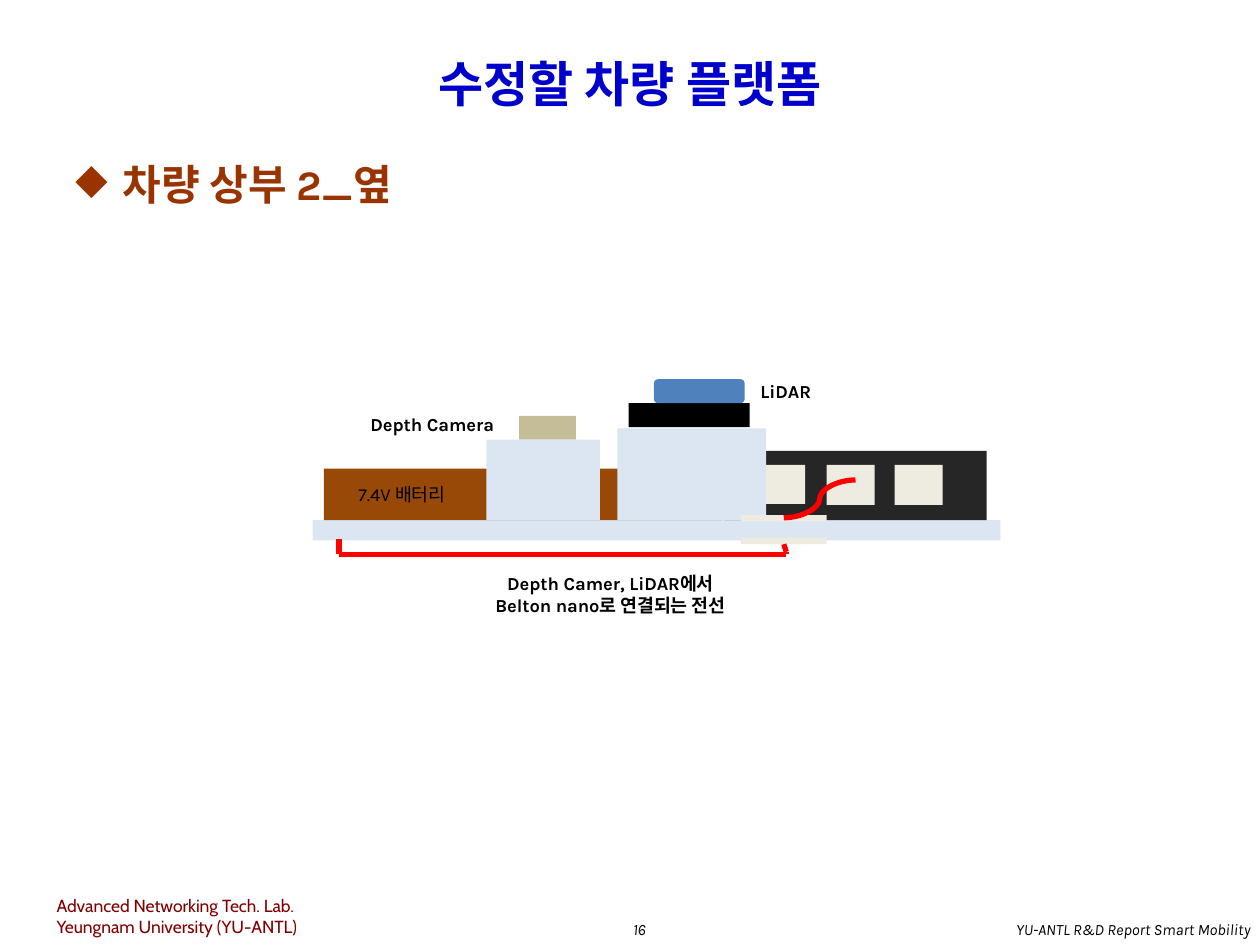
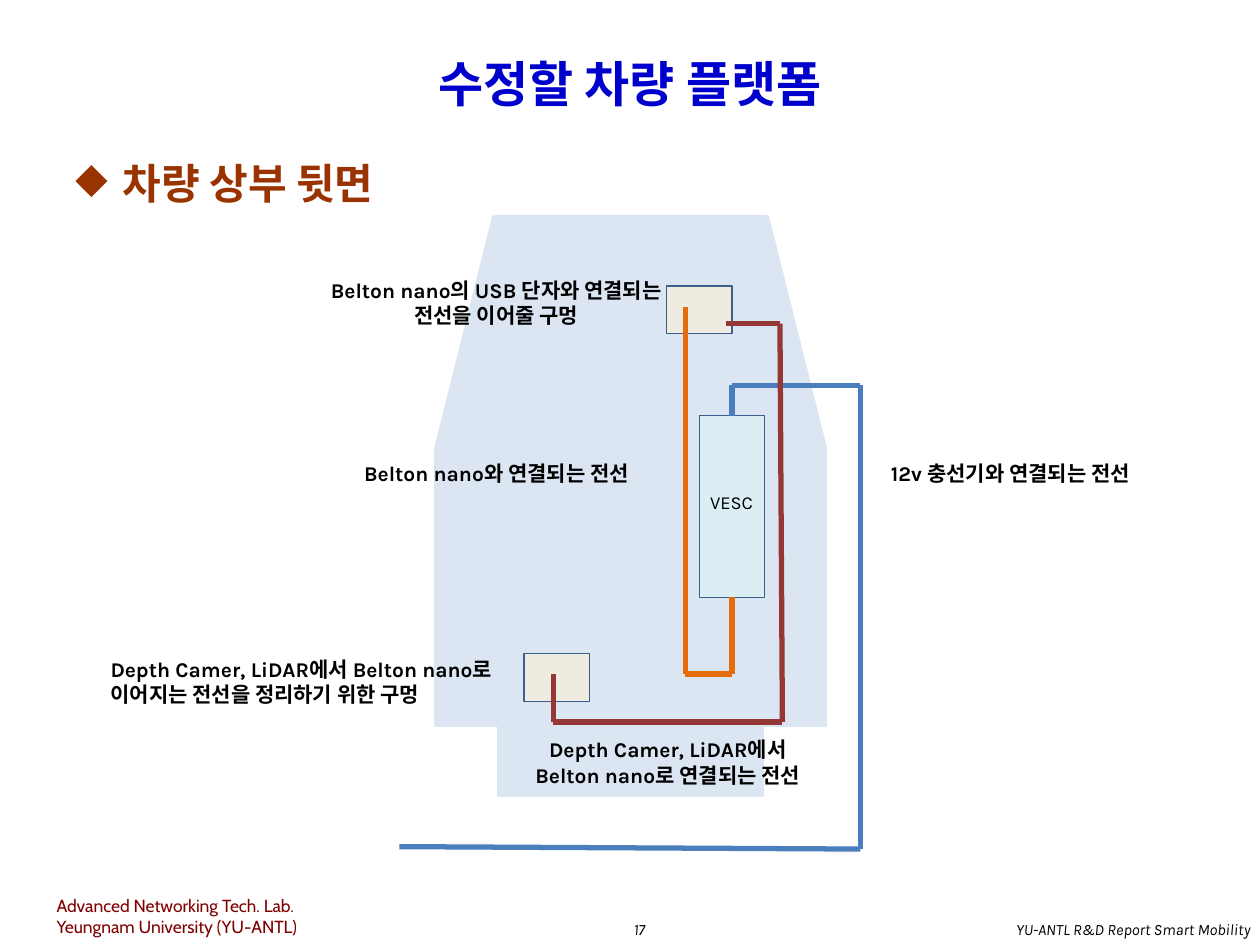
from itertools import pairwise

from lxml import etree
from pptx import Presentation
from pptx.dml.color import RGBColor
from pptx.enum import shapes, text
from pptx.oxml.ns import qn
from pptx.util import Pt

COLOURS = {
    "title": "0000CC", "heading": "993300", "lab": "800000", "ink": "000000",
    "plate": "DCE6F2", "battery": "984807", "board": "262626", "port": "EEECE1",
    "lidar": "4F81BD", "camera": "C4BD97", "signal": "FF0000",
    "controller": "DBEEF4", "outline": "3A5F8C",
    "charger": "4B7EBC", "drive": "E46C0A", "sensor": "953735",
}
FONT = "Karla"
TITLE = "수정할 차량 플랫폼"
SENSOR_CABLE = "Depth Camer, LiDAR에서 Belton nano로 연결되는 전선"
ALIGN = text.PP_ALIGN
KIND = shapes.MSO_SHAPE
CONNECTOR = shapes.MSO_CONNECTOR


def colour(name):
    return RGBColor.from_string(COLOURS[name])


def points(*lengths):
    return [Pt(length) for length in lengths]


def place(origin, box):
    left, top, width, height = box
    return points(origin[0] + left, origin[1] + top, width, height)


def write(frame, content, size=10.5, ink="ink", font=FONT, bold=False,
          italic=False, align=ALIGN.CENTER, bullet=None, indent=27):
    frame.text = content
    for paragraph in frame.paragraphs:
        paragraph.alignment = align
        if bullet:
            properties = paragraph._p.get_or_add_pPr()
            properties.set("marL", str(Pt(indent)))
            properties.set("indent", str(-Pt(indent)))
            etree.SubElement(properties, qn("a:buChar")).set("char", bullet)
        for run in paragraph.runs:
            run.font.name = font
            run.font.size = Pt(size)
            run.font.bold = bold
            run.font.italic = italic
            run.font.color.rgb = colour(ink)


def add_label(slide, origin, box, content, wrap=True, **style):
    label = slide.shapes.add_textbox(*place(origin, box))
    label.text_frame.word_wrap = wrap
    write(label.text_frame, content, **style)


def add_block(slide, origin, box, fill, kind=KIND.RECTANGLE, line=None, weight=0.75):
    block = slide.shapes.add_shape(kind, *place(origin, box))
    block.shadow.inherit = False
    block.fill.solid()
    block.fill.fore_color.rgb = colour(fill)
    if line:
        block.line.color.rgb = colour(line)
        block.line.width = Pt(weight)
    else:
        block.line.fill.background()


def add_cable(slide, origin, stops, ink, kind=CONNECTOR.STRAIGHT):
    x, y = origin
    for (x1, y1), (x2, y2) in pairwise(stops):
        cable = slide.shapes.add_connector(
            kind, *points(x + x1, y + y1, x + x2, y + y2))
        cable.line.color.rgb = colour(ink)
        cable.line.width = Pt(3)
        etree.SubElement(cable._element.spPr, qn("a:effectLst"))


def add_footer(slide, number, top=508):
    origin = (0, top)
    add_label(slide, origin, (25.2, 0, 154, 32),
              "Advanced Networking Tech. Lab.\nYeungnam University (YU-ANTL)",
              size=10, ink="lab", font="Cabin", align=ALIGN.LEFT)
    add_label(slide, origin, (351.4, 14, 28, 18), str(number),
              wrap=False, size=9, italic=True)
    add_label(slide, origin, (474.5, 14, 247, 18), "YU-ANTL R&D Report Smart Mobility",
              size=9, italic=True, align=ALIGN.RIGHT)


def add_page(presentation, number, heading, heading_top):
    slide = presentation.slides.add_slide(presentation.slide_layouts[5])
    title = slide.shapes.title
    title.left, title.top, title.width, title.height = points(36, 21.6, 648, 51.8)
    title.text_frame.vertical_anchor = text.MSO_ANCHOR.MIDDLE
    write(title.text_frame, TITLE, size=28, ink="title", bold=True)
    add_label(slide, (36, heading_top), (0, 0, 648, 395), heading, size=24,
              ink="heading", bold=True, align=ALIGN.LEFT, bullet="◆")
    add_footer(slide, number)
    return slide


def draw_side_view(slide, origin):
    for box, fill in (
        ((0, 83.5, 393.1, 11.5), "plate"),
        ((6.5, 54, 227.5, 29.5), "battery"),
        ((235.4, 43.9, 149.8, 39.6), "board"),
        ((174.2, 31, 85, 52.5), "plate"),
        ((259.2, 51.8, 22.3, 22.3), "port"),
        ((293.8, 51.8, 27.4, 23), "port"),
        ((332.6, 51.8, 27.4, 23), "port"),
        ((244.8, 80.6, 49, 3.6), "port"),
        ((244.8, 93.6, 49, 3.6), "port"),
        ((180.7, 16.6, 69.1, 13.7), "ink"),
        ((118.1, 23.8, 32.4, 13.7), "camera"),
        ((99.4, 37.4, 64.8, 46.1), "plate"),
    ):
        add_block(slide, origin, box, fill)
    add_block(slide, origin, (195.1, 2.9, 51.8, 13.7), "lidar", KIND.ROUNDED_RECTANGLE)
    add_cable(slide, origin, [(269.3, 82.1), (310.3, 60.5)], "signal", CONNECTOR.CURVE)
    add_cable(slide, origin, [(15.1, 94.3), (15.1, 103), (270.7, 103),
                              (270.7, 101.5), (269.3, 97.2)], "signal")
    for box, content, bold in (
        ((233.3, 0, 74.2, 20.2), "LiDAR", True),
        ((20.2, 18.7, 96.5, 20.2), "Depth Camera", True),
        ((91.4, 109.4, 157.7, 32.4), SENSOR_CABLE, True),
        ((6.5, 59, 89.3, 20.2), "7.4V 배터리", False),
    ):
        add_label(slide, origin, box, content, bold=bold)


def draw_rear_view(slide, origin):
    for box, kind in (
        ((0, 132.5, 222.5, 158.4), KIND.RECTANGLE),
        ((0, 0, 222.5, 132.5), KIND.TRAPEZOID),
        ((36, 291.6, 150.5, 38.9), KIND.RECTANGLE),
    ):
        add_block(slide, origin, box, "plate", kind, line="plate", weight=2)
    add_block(slide, origin, (150.5, 113.8, 37.4, 103.7), "controller",
              line="outline", weight=0.5)
    for left, top in ((131.8, 39.6), (50.4, 249.8)):
        add_block(slide, origin, (left, top, 37.4, 27.4), "port", line="outline")
    add_label(slide, origin, (118.8, 153.4, 100.1, 20.2), "VESC")
    for ink, stops in (
        ("charger", [(169.2, 113.8), (169.2, 96.5), (242.6, 96.5),
                     (242.6, 361.4), (-20.9, 360)]),
        ("drive", [(169.2, 217.4), (169.2, 261.4), (142.6, 261.4), (142.6, 51.8)]),
        ("sensor", [(67, 261.4), (67, 288.7), (198, 288.7),
                    (196.6, 61.2), (165.6, 61.2)]),
    ):
        add_cable(slide, origin, stops, ink)
    for box, content, align in (
        ((242.6, 136.1, 171.4, 21.6), "12v 충선기와 연결되는 전선", ALIGN.CENTER),
        ((-61.9, 136.1, 193, 21.6), "Belton nano와 연결되는 전선", ALIGN.CENTER),
        ((-70.6, 31, 210.2, 36),
         "Belton nano의 USB 단자와 연결되는 전선을 이어줄 구멍", ALIGN.CENTER),
        ((-193, 247.7, 240.5, 36),
         "Depth Camer, LiDAR에서 Belton nano로 이어지는 전선을 정리하기 위한 구멍",
         ALIGN.LEFT),
        ((42.5, 293.8, 180, 36), SENSOR_CABLE, ALIGN.CENTER),
    ):
        add_label(slide, origin, box, content, size=12, bold=True, align=align)


def main():
    presentation = Presentation()
    presentation.slide_width, presentation.slide_height = points(720, 540)
    side = add_page(presentation, 16, "차량 상부 2_옆", 87.1)
    draw_side_view(side, (178.6, 213.8))
    rear = add_page(presentation, 17, "차량 상부 뒷면", 86.4)
    draw_rear_view(rear, (249.1, 123.8))
    presentation.save("out.pptx")


if __name__ == "__main__":
    main()
